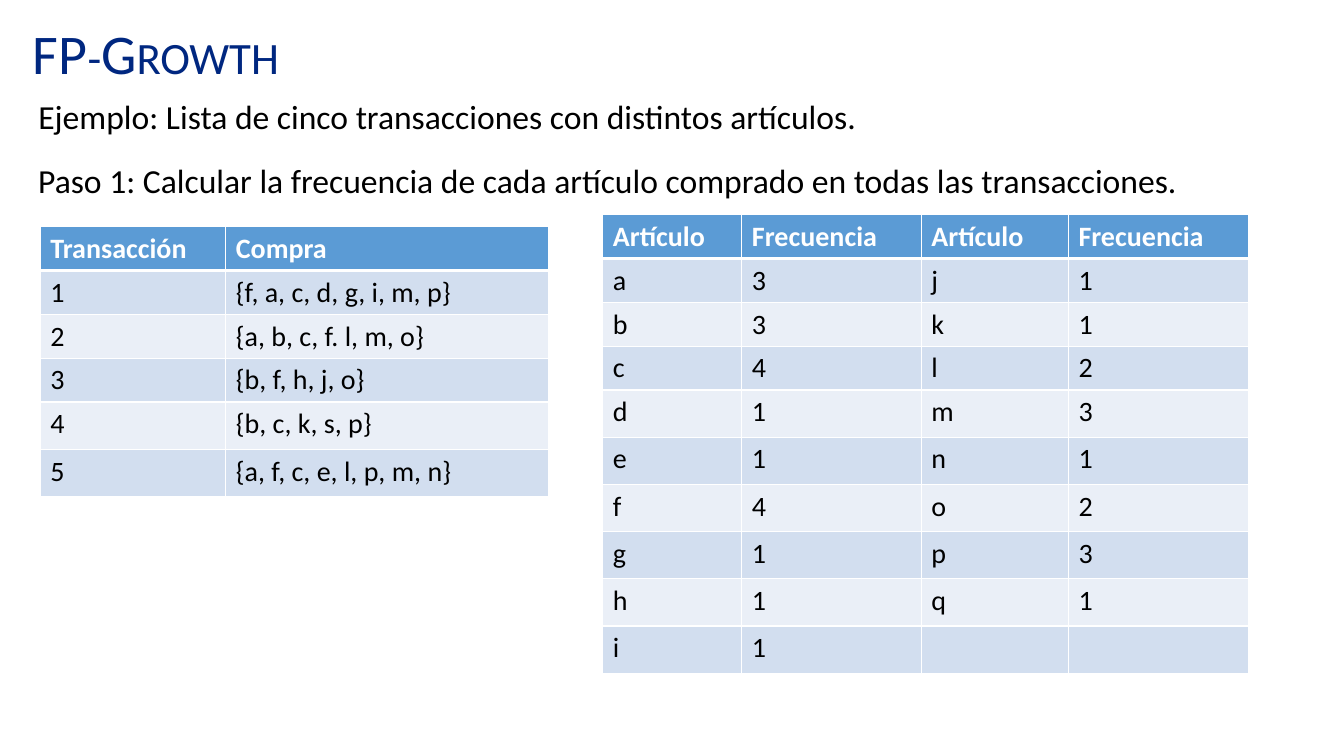
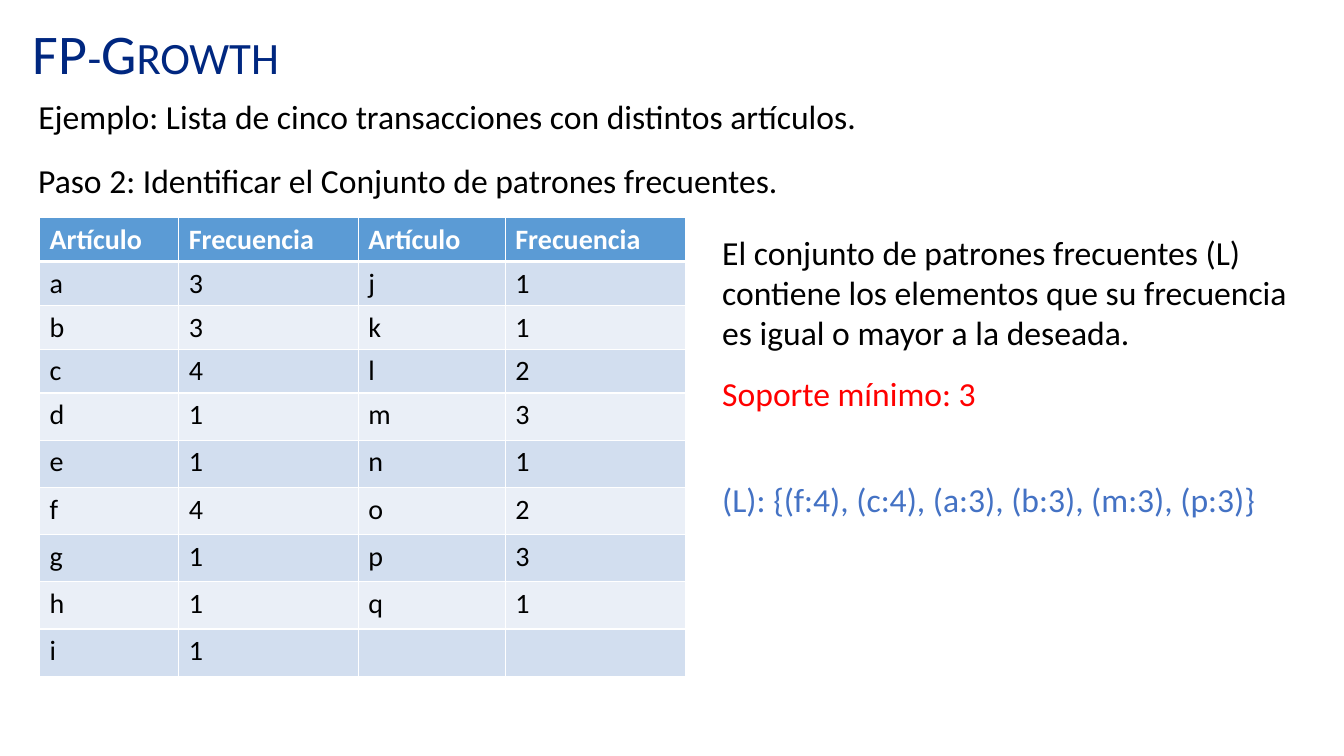
from itertools import zip_longest

from lxml import etree
from pptx import Presentation
from pptx.dml.color import RGBColor
from pptx.enum.text import MSO_ANCHOR, MSO_AUTO_SIZE, PP_ALIGN
from pptx.oxml.ns import qn
from pptx.util import Inches, Pt

SLIDE_WIDTH = Inches(13.33)
SLIDE_HEIGHT = Inches(7.5)
FONT = "Calibri"

NAVY = RGBColor(0x00, 0x27, 0x80)
BLACK = RGBColor(0x00, 0x00, 0x00)
WHITE = RGBColor(0xFF, 0xFF, 0xFF)
RED = RGBColor(0xFF, 0x00, 0x00)
BLUE = RGBColor(0x44, 0x72, 0xC4)
HEADER_FILL = RGBColor(0x5B, 0x9B, 0xD5)
BAND_FILLS = (RGBColor(0xEA, 0xEF, 0xF7), RGBColor(0xD2, 0xDE, 0xEF))

LEFT = PP_ALIGN.LEFT
JUSTIFY = PP_ALIGN.JUSTIFY
TOP = MSO_ANCHOR.TOP
BOTTOM = MSO_ANCHOR.BOTTOM
NO_AUTOFIT = MSO_AUTO_SIZE.NONE

TITLE_AND_CONTENT = 1
TIGHT_ROW = 5.8
LOOSE_ROW = 6.25
TIGHT_ROW_COUNT = 4

TITLE = "FP-Growth"
EXAMPLE = "Ejemplo: Lista de cinco transacciones con distintos artículos."

TRANSACTION_WIDTHS = (13.8, 24)
TRANSACTIONS = [
    ("Transacción", "Compra"),
    ("1", "{f, a, c, d, g, i, m, p}"),
    ("2", "{a, b, c, f. l, m, o}"),
    ("3", "{b, f, h, j, o}"),
    ("4", "{b, c, k, s, p}"),
    ("5", "{a, f, c, e, l, p, m, n}"),
]

FREQUENCY_WIDTHS = (10.35, 13.35, 10.95, 13.4)
A_TO_I = zip("abcdefghi", "334114111")
J_TO_Q = zip("jklmnopq", "11231231")
FREQUENCIES = [("Artículo", "Frecuencia") * 2] + [
    first + second
    for first, second in zip_longest(A_TO_I, J_TO_Q, fillvalue=("", ""))
]


def across(percent):
    return round(SLIDE_WIDTH * percent / 100)


def down(percent):
    return round(SLIDE_HEIGHT * percent / 100)


def area(left, top, width, height):
    return across(left), down(top), across(width), down(height)


def format_runs(paragraph, size, color, bold=False):
    for run in paragraph.runs:
        run.font.name = FONT
        run.font.size = Pt(size)
        run.font.bold = bold
        run.font.color.rgb = color


def fill_placeholder(placeholder, box, text, size, color, anchor, align):
    placeholder.left, placeholder.top, placeholder.width, placeholder.height = box
    frame = placeholder.text_frame
    frame.text = text
    frame.auto_size = NO_AUTOFIT
    frame.vertical_anchor = anchor
    paragraph = frame.paragraphs[0]
    paragraph.alignment = align
    paragraph.line_spacing = 0.9
    format_runs(paragraph, size, color)
    return paragraph


def add_heading(slide):
    title = fill_placeholder(slide.shapes.title, area(1.7, 0.95, 86.3, 11.2),
                             TITLE, 40, NAVY, BOTTOM, LEFT)
    title.runs[0].font._element.set("cap", "small")

    example = fill_placeholder(slide.placeholders[1], area(2.1, 12.65, 95.9, 7.3),
                               EXAMPLE, 24, BLACK, TOP, JUSTIFY)
    example.space_before = Pt(10)
    properties = example._p.get_or_add_pPr()
    properties.set("marL", "0")
    properties.set("indent", "0")
    etree.SubElement(properties, qn("a:buNone"))


def add_text(slide, box, text, color=BLACK):
    frame = slide.shapes.add_textbox(*box).text_frame
    frame.word_wrap = True
    frame.text = text
    format_runs(frame.paragraphs[0], 24, color)


def set_borders(cell, top_width, bottom_width):
    properties = cell._tc.get_or_add_tcPr()
    sides = (("a:lnL", 1), ("a:lnR", 1), ("a:lnT", top_width), ("a:lnB", bottom_width))
    for side, width in sides:
        line = etree.SubElement(properties, qn(side), w=str(Pt(width)))
        fill = etree.SubElement(line, qn("a:solidFill"))
        etree.SubElement(fill, qn("a:srgbClr"), val=str(WHITE))


def format_cell(cell, text, row):
    is_header = row == 0
    cell.text_frame.text = text
    format_runs(cell.text_frame.paragraphs[0], 20,
                WHITE if is_header else BLACK, is_header)
    set_borders(cell, 3 if row == 1 else 1, 3 if is_header else 1)
    cell.fill.solid()
    cell.fill.fore_color.rgb = HEADER_FILL if is_header else BAND_FILLS[row % 2]


def add_data_table(slide, left, top, widths, records):
    heights = [TIGHT_ROW if row < TIGHT_ROW_COUNT else LOOSE_ROW
               for row in range(len(records))]
    box = area(left, top, sum(widths), sum(heights))
    table = slide.shapes.add_table(len(records), len(widths), *box).table
    for column, width in zip(table.columns, widths):
        column.width = across(width)
    for row, (height, record) in enumerate(zip(heights, records)):
        table.rows[row].height = down(height)
        for column, text in enumerate(record):
            format_cell(table.cell(row, column), text, row)


def add_step_slide(deck, step):
    slide = deck.slides.add_slide(deck.slide_layouts[TITLE_AND_CONTENT])
    add_heading(slide)
    add_text(slide, area(2.1, 20.55, 87.5, 6.7), step)
    return slide


def add_frequency_step(deck):
    slide = add_step_slide(
        deck, "Paso 1: Calcular la frecuencia de cada artículo comprado en todas las transacciones.")
    add_data_table(slide, 3, 30, TRANSACTION_WIDTHS, TRANSACTIONS)
    add_data_table(slide, 44.85, 28.4, FREQUENCY_WIDTHS, FREQUENCIES)


def add_pattern_step(deck):
    slide = add_step_slide(deck, "Paso 2: Identificar el Conjunto de patrones frecuentes.")
    add_data_table(slide, 2.95, 28.8, FREQUENCY_WIDTHS, FREQUENCIES)
    notes = (
        (30, 17.5, BLACK, "El conjunto de patrones frecuentes (L) contiene los elementos "
                          "que su frecuencia es igual o mayor a la deseada."),
        (48.7, 6.7, RED, "Soporte mínimo: 3"),
        (62.7, 6.7, BLUE, "(L): {(f:4), (c:4), (a:3), (b:3), (m:3), (p:3)}"),
    )
    for top, height, color, text in notes:
        add_text(slide, area(53, top, 44.9, height), text, color)


def main():
    deck = Presentation()
    deck.slide_width = SLIDE_WIDTH
    deck.slide_height = SLIDE_HEIGHT
    add_frequency_step(deck)
    add_pattern_step(deck)
    deck.save("out.pptx")


if __name__ == "__main__":
    main()
